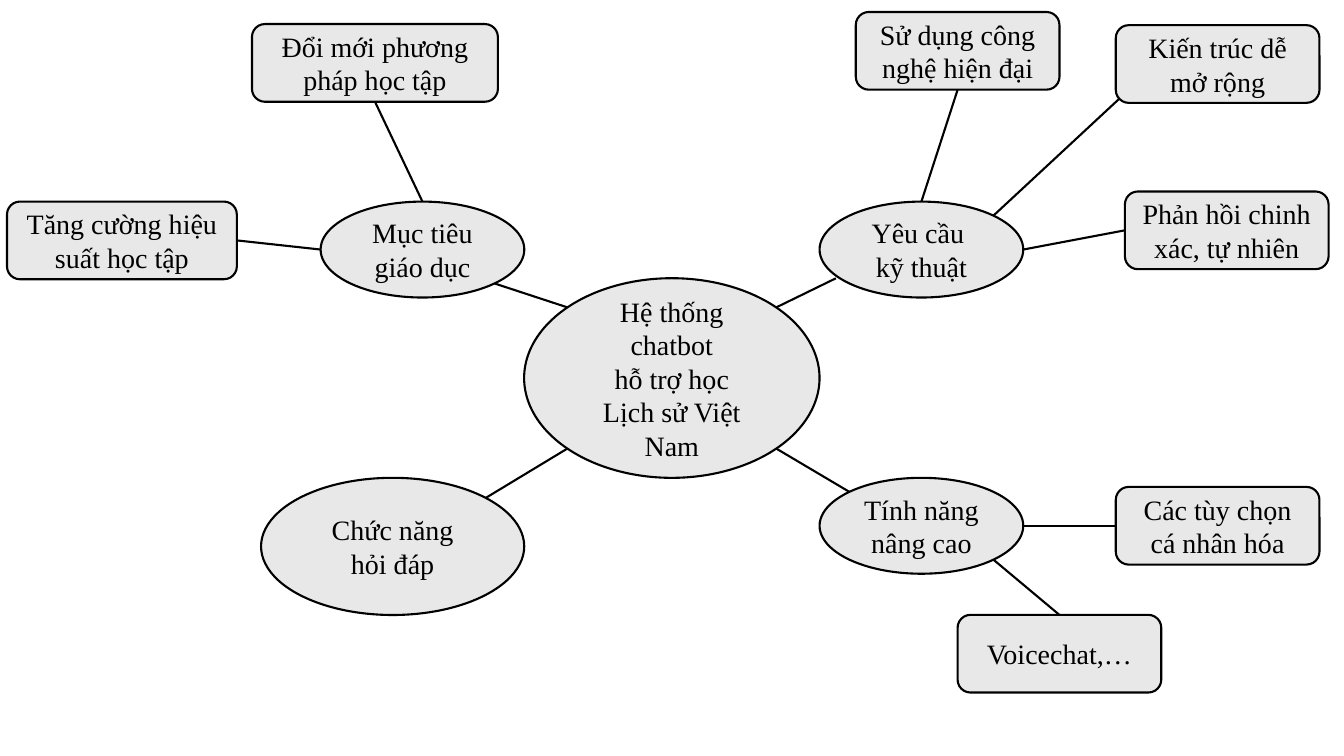
from pptx import Presentation
from pptx.dml.color import RGBColor
from pptx.enum.shapes import MSO_CONNECTOR, MSO_SHAPE
from pptx.enum.text import MSO_ANCHOR, PP_ALIGN
from pptx.oxml.ns import qn
from pptx.util import Pt
from lxml.etree import SubElement

# Content: key -> (shape kind, left, top, width, height, paragraphs), in points
OVAL, BOX = MSO_SHAPE.OVAL, MSO_SHAPE.ROUNDED_RECTANGLE
TOPIC = (145.5, 68.5)
DETAIL = (145.5, 55.5)
NODES = {
    "system": (OVAL, 374.4, 198.7, 211, 142.6,
               ["Hệ thống chatbot", "hỗ trợ học", "Lịch sử Việt Nam"]),
    "method": (BOX, 180, 17.2, 175.7, 55.5, ["Đổi mới phương pháp học tập"]),
    "results": (BOX, 5, 144, 164.2, 55.5, ["Tăng cường hiệu suất học tập"]),
    "goals": (OVAL, 229, 144, *TOPIC, ["Mục tiêu giáo dục"]),
    "answers": (OVAL, 186.5, 341.3, 188, 98, ["Chức năng", "hỏi đáp"]),
    "technical": (OVAL, 585.4, 144, *TOPIC, ["Yêu cầu ", "kỹ thuật"]),
    "technology": (BOX, 611.3, 8.6, *DETAIL, ["Sử dụng công nghệ hiện đại"]),
    "accuracy": (BOX, 803.5, 136.8, *DETAIL, ["Phản hồi chinh xác, tự nhiên"]),
    "features": (OVAL, 585.4, 341.3, *TOPIC, ["Tính năng nâng cao"]),
    "options": (BOX, 797, 347.8, *DETAIL, ["Các tùy chọn cá nhân hóa"]),
    "voice": (BOX, 684, 439.2, *DETAIL, ["Voicechat,…"]),
    "architecture": (BOX, 797, 18, *DETAIL, ["Kiến trúc dễ mở rộng"]),
}

# Anchors: fractions of a node's width and height
NEAR, FAR = 0.146, 0.854
TOP, BOTTOM, LEFT, RIGHT = (0.5, 0), (0.5, 1), (0, 0.5), (1, 0.5)
TOP_LEFT, TOP_RIGHT = (NEAR, NEAR), (FAR, NEAR)
BOTTOM_LEFT, BOTTOM_RIGHT = (NEAR, FAR), (FAR, FAR)
LINKS = [
    ("system", TOP_LEFT, "goals", BOTTOM_RIGHT),
    ("system", BOTTOM_LEFT, "answers", TOP_RIGHT),
    ("system", BOTTOM_RIGHT, "features", TOP_LEFT),
    ("system", TOP_RIGHT, "technical", (0.08, 0.8)),
    ("goals", LEFT, "results", RIGHT),
    ("goals", TOP, "method", BOTTOM),
    ("technical", TOP, "technology", BOTTOM),
    ("technical", RIGHT, "accuracy", LEFT),
    ("technical", TOP_RIGHT, "architecture", (0.02, 0.94)),
    ("features", RIGHT, "options", LEFT),
    ("features", BOTTOM_RIGHT, "voice", TOP),
]


def color(value):
    return RGBColor.from_string(value)


def set_line(line):
    line.color.rgb = color("000000")
    line.width = Pt(1.5)


def write_text(frame, paragraphs, *, font="Times New Roman", size=20, ink="000000"):
    frame.word_wrap = True
    frame.vertical_anchor = MSO_ANCHOR.MIDDLE
    for index, text in enumerate(paragraphs):
        paragraph = frame.paragraphs[0] if index == 0 else frame.add_paragraph()
        paragraph.alignment = PP_ALIGN.CENTER
        run = paragraph.add_run()
        run.text = text
        run.font.name = font
        run.font.size = Pt(size)
        run.font.color.rgb = color(ink)


def add_node(slide, kind, left, top, width, height, paragraphs):
    shape = slide.shapes.add_shape(kind, Pt(left), Pt(top), Pt(width), Pt(height))
    shape.shadow.inherit = False
    shape.fill.solid()
    shape.fill.fore_color.rgb = color("E8E8E8")
    set_line(shape.line)
    write_text(shape.text_frame, paragraphs)


def anchor_point(key, anchor):
    _, left, top, width, height, _ = NODES[key]
    return Pt(left + anchor[0] * width), Pt(top + anchor[1] * height)


def add_link(slide, start, start_anchor, end, end_anchor):
    connector = slide.shapes.add_connector(
        MSO_CONNECTOR.STRAIGHT,
        *anchor_point(start, start_anchor), *anchor_point(end, end_anchor))
    set_line(connector.line)
    SubElement(connector._element.spPr, qn("a:effectLst"))


# Build the mind map
presentation = Presentation()
presentation.slide_width, presentation.slide_height = Pt(960), Pt(540)
slide = presentation.slides.add_slide(presentation.slide_layouts[6])
for node in NODES.values():
    add_node(slide, *node)
for link in LINKS:
    add_link(slide, *link)
presentation.save("out.pptx")
